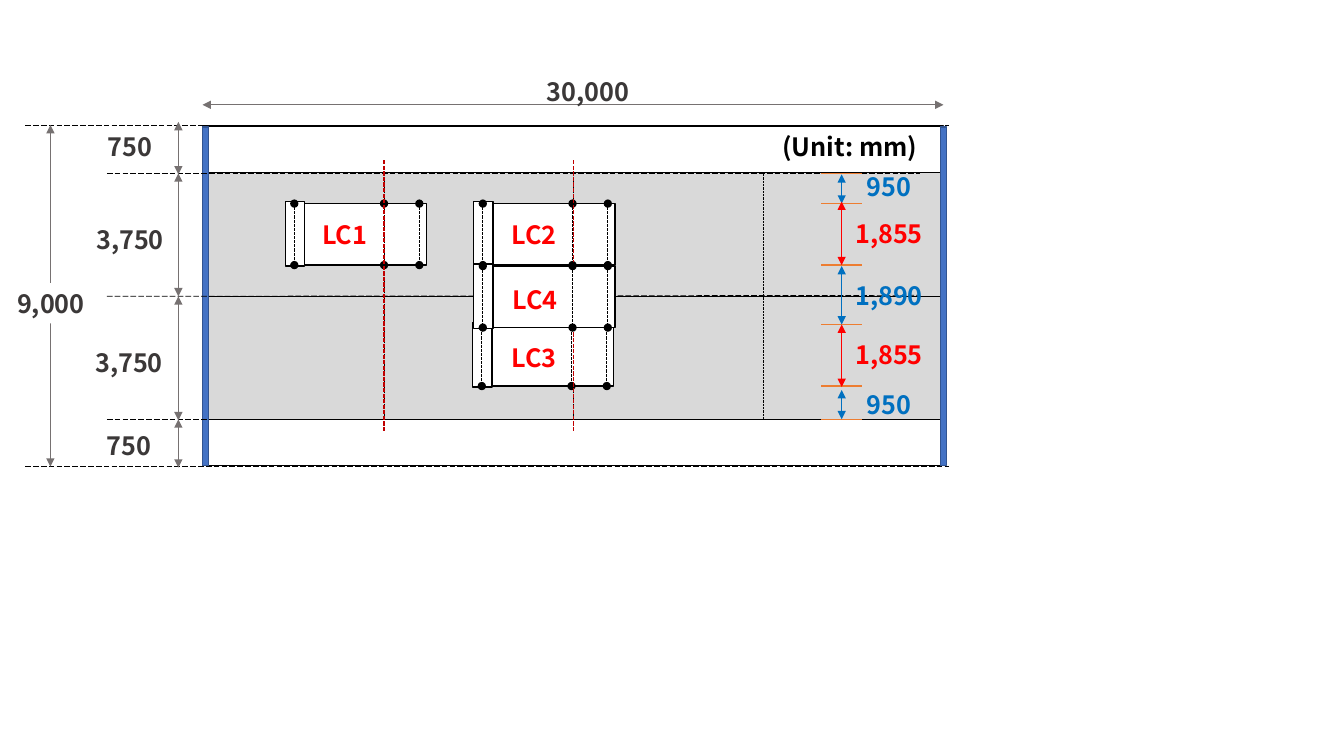
from dataclasses import dataclass
from typing import Optional

from lxml import etree
from pptx import Presentation
from pptx.dml.color import RGBColor
from pptx.enum import dml, shapes, text
from pptx.oxml.ns import qn
from pptx.util import Pt

FONT = "Noto Sans CJK KR"
BLACK, WHITE, GREY, DARK = "000000", "FFFFFF", "767171", "3B3838"
RED, BLUE, ORANGE, CRIMSON = "FF0000", "0070C0", "ED7D31", "C00000"
DOT, DASH, LONG = (dml.MSO_LINE.ROUND_DOT, dml.MSO_LINE.SQUARE_DOT,
                   dml.MSO_LINE.LONG_DASH)

# Bridge deck, in points
LEFT, WIDTH = 144.72, 529.2
LANE_TOP, LANE_H = 123.12, 88.56
LANE_END = 299.52
SHOULDER_TOP, SHOULDER_H = 90, 33.12
TEXT_H = 28.8


@dataclass
class Truck:
    name: str
    x: float
    y: float
    label_dx: float
    label_dy: float


@dataclass
class Dimension:
    x1: float
    y1: float
    x2: float
    y2: float
    color: str


@dataclass
class Label:
    words: str
    x: float
    y: float
    width: float = 66.24
    color: str = DARK
    fill: Optional[str] = None


TRUCKS = [
    Truck("LC1", 203.76, 144, 15.12, 9.36),
    Truck("LC2", 338.4, 144, 15.84, 9.36),
    Truck("LC3", 337.68, 230.4, 16.56, 10.8),
]
CENTRE_TRUCK = Truck("LC4", 338.4, 188.64, 16.56, 10.8)

DIMENSIONS = [
    Dimension(LEFT, 74.88, LEFT + WIDTH, 74.88, GREY),
    Dimension(36, 89.28, 36, 333.36, GREY),
    *(Dimension(127.44, y1, 127.44, y2, GREY) for y1, y2 in (
        (87.12, 124.56), (123.84, 211.68), (211.68, 300.24), (299.52, 334.08))),
    *(Dimension(601.2, y1, 601.2, y2, color) for y1, y2, color in (
        (124.56, 145.44, BLUE), (144, 189.36, RED), (190.08, 231.84, BLUE),
        (231.84, 276.48, RED), (278.64, 299.52, BLUE))),
]

LABELS = [
    Label("30,000", 367.2, 51.12, 105.84),
    Label("(Unit: mm)", 548.64, 90, 116.64, BLACK),
    Label("9,000", 0, 202.32, 72.72, fill=WHITE),
    Label("750", 59.76, 90),
    Label("3,750", 59.76, 156.96),
    Label("3,750", 59.04, 244.8),
    Label("750", 59.04, 303.84),
    *(Label(words, 601.92, y, color=color) for words, y, color in (
        ("950", 118.8, BLUE), ("1,855", 152.64, RED), ("1,890", 196.56, BLUE),
        ("1,855", 239.04, RED), ("950", 274.32, BLUE))),
]


def rgb(color: str) -> RGBColor:
    return RGBColor.from_string(color)


def add_box(parent, x: float, y: float, w: float, h: float,
            fill: str = WHITE, line: str = BLACK):
    sp = parent.add_shape(shapes.MSO_SHAPE.RECTANGLE, Pt(x), Pt(y), Pt(w), Pt(h))
    sp.shadow.inherit = False
    sp.fill.solid()
    sp.fill.fore_color.rgb = rgb(fill)
    sp.line.color.rgb = rgb(line)
    sp.line.width = Pt(1)
    return sp


def add_line(parent, x1: float, y1: float, x2: float, y2: float, color: str,
             width: float, dash=None, ends: Optional[str] = None):
    c = parent.add_connector(shapes.MSO_CONNECTOR.STRAIGHT,
                             Pt(x1), Pt(y1), Pt(x2), Pt(y2))
    c.line.color.rgb = rgb(color)
    c.line.width = Pt(width)
    if dash is not None:
        c.line.dash_style = dash
    if ends:
        ln = c.line._get_or_add_ln()
        for tag in ("a:headEnd", "a:tailEnd"):
            etree.SubElement(ln, qn(tag)).set("type", ends)
    etree.SubElement(c._element.spPr, qn("a:effectLst"))
    return c


def add_label(parent, label: Label) -> None:
    sp = parent.add_textbox(Pt(label.x), Pt(label.y), Pt(label.width), Pt(TEXT_H))
    if label.fill:
        sp.fill.solid()
        sp.fill.fore_color.rgb = rgb(label.fill)
    tf = sp.text_frame
    tf.word_wrap = True
    tf.auto_size = text.MSO_AUTO_SIZE.SHAPE_TO_FIT_TEXT
    p = tf.paragraphs[0]
    p.text = label.words
    p.alignment = text.PP_ALIGN.CENTER
    p.font.name, p.font.size, p.font.bold = FONT, Pt(18), True
    p.font.color.rgb = rgb(label.color)


def add_truck(parent, truck: Truck) -> None:
    group = parent.add_group_shape().shapes
    cab_w, body_h = 13.68, 43.92
    body_y = truck.y + 1.44
    add_box(group, truck.x, truck.y, cab_w, 46.08)
    add_box(group, truck.x + cab_w, body_y, 87.12, body_h)
    for axle in (95.76, 70.56, 6.48):
        x = truck.x + axle
        add_line(group, x, body_y, x, body_y + body_h, BLACK, 0.75, DASH, "oval")
    add_label(group, Label(truck.name, truck.x + truck.label_dx,
                           truck.y + truck.label_dy, 54.72, RED))


def main() -> None:
    prs = Presentation()
    prs.slide_width, prs.slide_height = Pt(960), Pt(540)
    s = prs.slides.add_slide(prs.slide_layouts[6]).shapes

    # Lanes with quarter lines; the middle one joins both lanes
    upper, lower = (add_box(s, LEFT, LANE_TOP + i * LANE_H, WIDTH, LANE_H, "D9D9D9")
                    for i in range(2))
    middle = add_line(s, 409.32, LANE_TOP, 409.32, LANE_END, BLACK, 0.5, DOT)
    middle.begin_connect(upper, 0)
    middle.end_connect(lower, 2)
    for x in (274.32, 545.04):
        add_line(s, x, LANE_TOP, x, LANE_END, BLACK, 0.5, DOT)

    # Trucks in the lanes
    for truck in TRUCKS:
        add_truck(s, truck)

    # Shoulders and end girders
    for y in (LANE_END, SHOULDER_TOP):
        add_box(s, LEFT, y, WIDTH, SHOULDER_H)
    for x in (LEFT, 671.76):
        add_box(s, x, 90.72, 4.32, 241.92, "4472C4", "325491")

    # Level lines, load sections and clearance ticks
    for y1, y2 in ((123.84, 123.84), (211.68, 210.96), (299.52, 299.52)):
        add_line(s, 76.32, y1, 657.36, y2, BLACK, 0.5, LONG)
    for y in (89.28, 333.36):
        add_line(s, 18, y, 678.24, y, BLACK, 0.5, LONG)
    for x in (409.68, 274.32):
        add_line(s, x, 114.48, x, 308.88, CRIMSON, 1, DASH)
    for y in (123.84, 145.44, 189.36, 231.84, 275.76, 299.52):
        add_line(s, 586.8, y, 615.6, y, ORANGE, 1)

    # Dimensions and their labels
    for d in DIMENSIONS:
        add_line(s, d.x1, d.y1, d.x2, d.y2, d.color, 0.5, ends="triangle")
    for label in LABELS:
        add_label(s, label)

    # Truck between the lanes, in front
    add_truck(s, CENTRE_TRUCK)
    prs.save("out.pptx")


if __name__ == "__main__":
    main()
